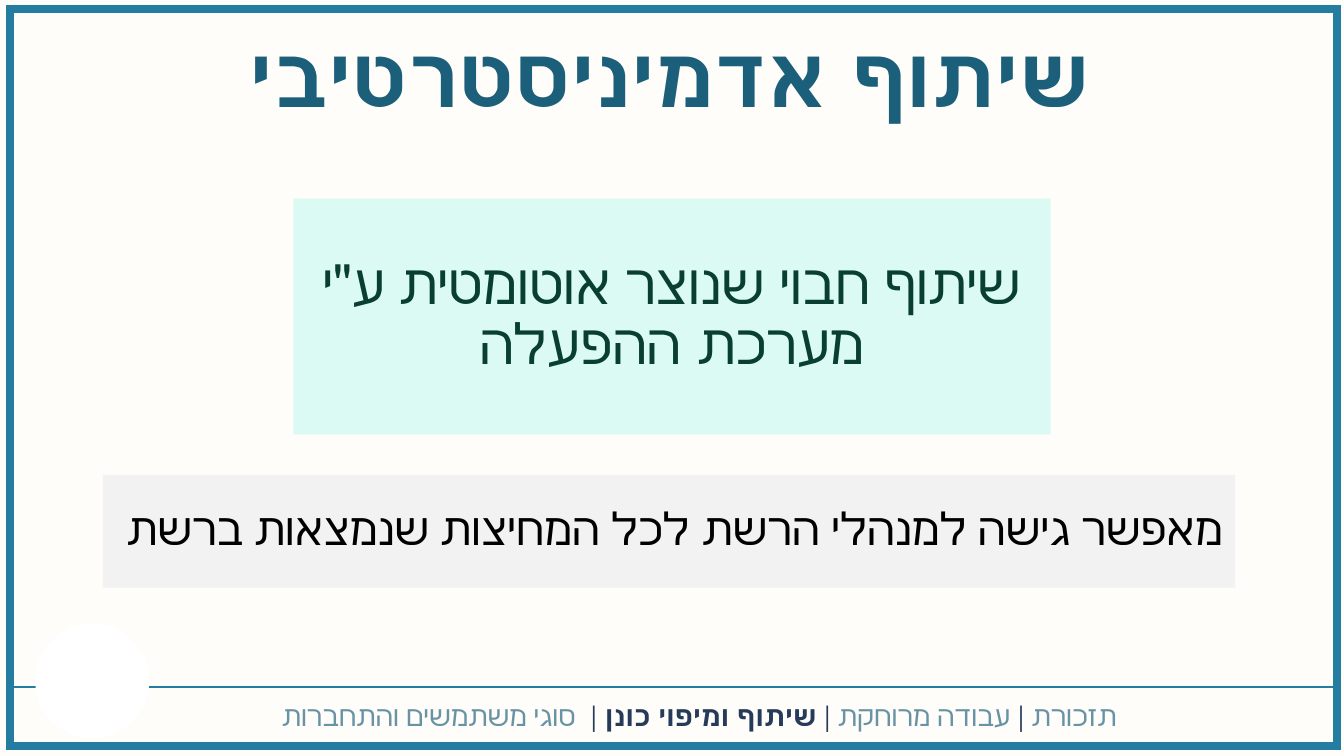
from dataclasses import dataclass

from lxml import etree
from pptx import Presentation
from pptx import util as u
from pptx.dml.color import RGBColor
from pptx.enum import shapes, text
from pptx.oxml import ns

PX = 9144
FONT = "Arial"
BLUE = "247DA0"
MUTED = "6893A4"
NAVY = "253B59"


@dataclass(frozen=True)
class Frame:
    left: int
    top: int
    width: int
    height: int

    def emu(self) -> list[int]:
        return [side * PX for side in (self.left, self.top, self.width, self.height)]


@dataclass(frozen=True)
class Span:
    words: str
    color: str
    bold: bool = False


@dataclass(frozen=True)
class Panel:
    frame: Frame
    size: int
    spans: tuple[Span, ...]
    fill: str | None = None
    anchor: text.MSO_ANCHOR = text.MSO_ANCHOR.MIDDLE
    wrap: bool = True


PANELS = (
    Panel(
        Frame(148, 692, 1091, 40),
        20,
        (
            Span("תזכורת ", MUTED),
            Span("| ", NAVY),
            Span("עבודה מרוחקת ", MUTED),
            Span("| ", NAVY),
            Span("שיתוף ומיפוי כונן ", NAVY, True),
            Span("|\u00a0", NAVY),
            Span(" סוגי משתמשים והתחברות", MUTED),
        ),
    ),
    Panel(
        Frame(89, 30, 1150, 125),
        60,
        (Span("שיתוף אדמיניסטרטיבי", "1C5F7A", True),),
        anchor=text.MSO_ANCHOR.TOP,
    ),
    Panel(
        Frame(291, 197, 751, 234),
        40,
        (Span('שיתוף חבוי שנוצר אוטומטית ע"י מערכת\u00a0ההפעלה', "093F33"),),
        "DAFAF3",
    ),
    Panel(
        Frame(102, 471, 1123, 112),
        32,
        (Span("מאפשר גישה למנהלי הרשת\u00a0לכל המחיצות שנמצאות ברשת\u00a0", "000000"),),
        "F2F2F2",
        wrap=False,
    ),
)


def paint(color_format, color: str) -> None:
    color_format.rgb = RGBColor.from_string(color)


def add_plain_shape(page, kind: shapes.MSO_SHAPE, frame: Frame, fill: str | None):
    shape = page.shapes.add_shape(kind, *frame.emu())
    shape.shadow.inherit = False
    shape.line.fill.background()
    if fill:
        shape.fill.solid()
        paint(shape.fill.fore_color, fill)
    else:
        shape.fill.background()
    return shape


def add_border(page) -> None:
    border = add_plain_shape(page, shapes.MSO_SHAPE.RECTANGLE, Frame(10, 9, 1316, 731), None)
    paint(border.line.color, BLUE)
    border.line.width = u.Pt(6)
    corner = etree.SubElement(border.line._ln, ns.qn("a:miter"))
    corner.set("lim", "800000")


def add_footer_rule(page) -> None:
    rule = page.shapes.add_connector(
        shapes.MSO_CONNECTOR.STRAIGHT, 10 * PX, 682 * PX, 1324 * PX, 682 * PX
    )
    paint(rule.line.color, BLUE)
    rule.line.width = u.Pt(1.5)
    etree.SubElement(rule._element.spPr, ns.qn("a:effectLst"))


def add_panel(page, panel: Panel) -> None:
    if panel.fill:
        box = add_plain_shape(page, shapes.MSO_SHAPE.RECTANGLE, panel.frame, panel.fill)
    else:
        box = page.shapes.add_textbox(*panel.frame.emu())
    box.text_frame.word_wrap = panel.wrap
    box.text_frame.vertical_anchor = panel.anchor
    para = box.text_frame.paragraphs[0]
    para.alignment = text.PP_ALIGN.CENTER
    para.line_spacing = 0.9
    para.space_before = u.Pt(10)
    para._p.get_or_add_pPr().set("rtl", "1")
    for span in panel.spans:
        run = para.add_run()
        run.text = span.words
        run.font.name = FONT
        run.font.size = u.Pt(panel.size)
        run.font.bold = span.bold
        paint(run.font.color, span.color)


def main() -> None:
    deck = Presentation()
    deck.slide_width = 1333 * PX
    deck.slide_height = 750 * PX
    page = deck.slides.add_slide(deck.slide_layouts[6])
    page.background.fill.solid()
    paint(page.background.fill.fore_color, "FFFDF9")
    add_border(page)
    add_footer_rule(page)
    add_plain_shape(page, shapes.MSO_SHAPE.OVAL, Frame(35, 619, 113, 113), "FFFFFF")
    for panel in PANELS:
        add_panel(page, panel)
    deck.save("out.pptx")


if __name__ == "__main__":
    main()
